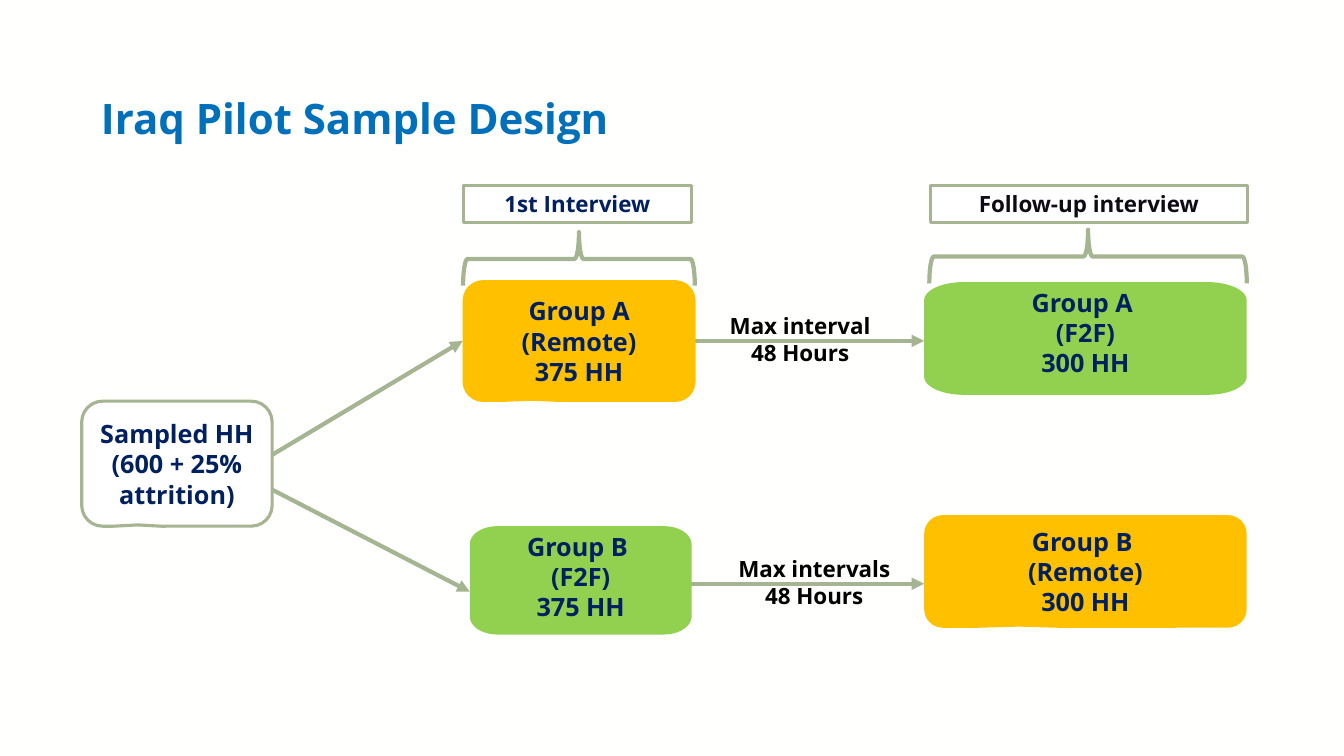
from dataclasses import dataclass
from math import cos, pi, sin

from lxml.etree import SubElement
from pptx import Presentation
from pptx.dml.color import RGBColor
from pptx.enum.shapes import MSO_CONNECTOR, MSO_SHAPE as Shp
from pptx.enum.text import MSO_ANCHOR as Anchor, PP_ALIGN as Align
from pptx.oxml.ns import qn
from pptx.util import Cm, Pt


@dataclass(frozen=True)
class Theme:
    font: str = "Open Sans"
    page: str = "FFFFFE"
    white: str = "FFFFFF"
    black: str = "000000"
    ink: str = "0F0B15"
    navy: str = "002060"
    title: str = "0070BA"
    sage: str = "A5B592"
    amber: str = "FFC000"
    green: str = "92D050"
    title_size: int = 30
    group_size: int = 18
    label_size: int = 16
    border: float = 2.25
    stroke: float = 3


T = Theme()


@dataclass(frozen=True)
class Box:
    """Lengths in centimetres."""
    x: float
    y: float
    w: float
    h: float

    def emu(self) -> tuple:
        return Cm(self.x), Cm(self.y), Cm(self.w), Cm(self.h)


@dataclass(frozen=True)
class Group:
    box: Box
    text: str
    fill: str
    line: str = ""
    corner: float = 0  # corner width of a barrel; 0 draws a callout


@dataclass(frozen=True)
class Phase:
    header: Box
    brace: Box
    text: str
    color: str


@dataclass(frozen=True)
class Arrow:
    x1: float
    y1: float
    x2: float
    y2: float


@dataclass(frozen=True)
class Label:
    box: Box
    text: str


GROUPS = [
    Group(Box(2.06, 10.11, 4.8, 3.15), "Sampled HH\n(600 + 25% attrition)", T.white, T.sage),
    Group(Box(11.66, 7.06, 5.87, 3.07), "Group A (Remote)\n375 HH", T.amber),
    Group(Box(11.84, 13.26, 5.59, 2.73), "Group B \n(F2F)\n375 HH", T.green, corner=0.69),
    Group(Box(23.29, 7.11, 8.13, 2.84), "Group A \n(F2F)\n300 HH", T.green, corner=0.99),
    Group(Box(23.29, 12.98, 8.13, 2.84), "Group B \n(Remote)\n300 HH", T.amber),
]
PHASES = [
    Phase(Box(11.68, 4.67, 5.74, 0.94), Box(11.67, 5.85, 5.84, 1.35), "1st Interview", T.navy),
    Phase(Box(23.44, 4.67, 8, 0.94), Box(23.42, 5.79, 8, 1.35), "Follow-up interview", T.ink),
]
ARROWS = [
    Arrow(6.86, 11.46, 11.66, 8.59),
    Arrow(6.86, 12.34, 11.84, 14.91),
    Arrow(17.5, 8.59, 23.29, 8.59),
    Arrow(17.42, 14.71, 23.29, 14.71),
]
LABELS = [
    Label(Box(18.03, 7.75, 4.27, 1.63), "Max interval 48 Hours"),
    Label(Box(18.03, 13.87, 4.98, 1.63), "Max intervals 48 Hours"),
]


def write(sp, text: str, size: int, color: str, align=Align.CENTER, anchor=Anchor.TOP) -> None:
    tf = sp.text_frame
    tf.text = text
    tf.word_wrap = True
    tf.vertical_anchor = anchor
    for p in tf.paragraphs:
        p.alignment = align
        for r in p.runs:
            r.font.name, r.font.size, r.font.bold = T.font, Pt(size), True
            r.font.color.rgb = RGBColor.from_string(color)


def paint(sp, fill: str = "", line: str = "", width: float = T.border) -> None:
    sp.shadow.inherit = False
    if fill:
        sp.fill.solid()
        sp.fill.fore_color.rgb = RGBColor.from_string(fill)
    else:
        sp.fill.background()
    if line:
        sp.line.color.rgb = RGBColor.from_string(line)
        sp.line.width = Pt(width)
    else:
        sp.line.fill.background()


def add_barrel(s, box: Box, rx: float, ry: float = 0.46, steps: int = 12):
    """Box with elliptic corners, traced clockwise from the left edge."""
    right, bottom = box.x + box.w, box.y + box.h
    centres = [(box.x + rx, box.y + ry), (right - rx, box.y + ry),
               (right - rx, bottom - ry), (box.x + rx, bottom - ry)]
    points = []
    for quarter, (cx, cy) in enumerate(centres):
        for i in range(steps + 1):
            angle = pi + (quarter + i / steps) * pi / 2
            points.append((Cm(cx + rx * cos(angle)), Cm(cy + ry * sin(angle))))
    builder = s.shapes.build_freeform(*points[0])
    builder.add_line_segments(points[1:], close=True)
    return builder.convert_to_shape()


def add_group(s, group: Group) -> None:
    if group.corner:
        sp, anchor = add_barrel(s, group.box, group.corner), Anchor.TOP
    else:
        sp = s.shapes.add_shape(Shp.ROUNDED_RECTANGULAR_CALLOUT, *group.box.emu())
        for i, value in enumerate((-0.206, 0.49, 0.167)):
            sp.adjustments[i] = value
        anchor = Anchor.MIDDLE
    paint(sp, group.fill, group.line)
    write(sp, group.text, T.group_size, T.navy, anchor=anchor)


def add_phase(s, phase: Phase) -> None:
    sp = s.shapes.add_shape(Shp.RECTANGLE, *phase.header.emu())
    paint(sp, T.white, T.sage)
    write(sp, phase.text, T.label_size, phase.color)
    # A left brace turned a quarter points up, so its sides are swapped
    b = phase.brace
    turned = Box(b.x + (b.w - b.h) / 2, b.y + (b.h - b.w) / 2, b.h, b.w)
    brace = s.shapes.add_shape(Shp.LEFT_BRACE, *turned.emu())
    brace.rotation = 90
    paint(brace, line=T.sage, width=T.stroke)


def add_arrow(s, arrow: Arrow) -> None:
    ends = (Cm(v) for v in (arrow.x1, arrow.y1, arrow.x2, arrow.y2))
    line = s.shapes.add_connector(MSO_CONNECTOR.STRAIGHT, *ends)
    line.line.color.rgb = RGBColor.from_string(T.sage)
    line.line.width = Pt(T.stroke)
    SubElement(line.line._get_or_add_ln(), qn("a:tailEnd"), type="triangle")
    SubElement(line._element.spPr, qn("a:effectLst"))


def main() -> None:
    prs = Presentation()
    prs.slide_width, prs.slide_height = Cm(33.87), Cm(19.05)
    s = prs.slides.add_slide(prs.slide_layouts[5])
    s.background.fill.solid()
    s.background.fill.fore_color.rgb = RGBColor.from_string(T.page)

    # Title
    title = s.shapes.title
    title.left, title.top, title.width, title.height = Box(2.29, 1.45, 29.29, 3.2).emu()
    write(title, "Iraq Pilot Sample Design", T.title_size, T.title, Align.LEFT, Anchor.MIDDLE)
    title.text_frame.paragraphs[0].line_spacing = 0.9

    # Flow from the sample through both interviews
    for arrow in ARROWS:
        add_arrow(s, arrow)
    for group in GROUPS:
        add_group(s, group)

    # Interview headers with braces
    for phase in PHASES:
        add_phase(s, phase)

    # Interval labels
    for label in LABELS:
        write(s.shapes.add_textbox(*label.box.emu()), label.text, T.label_size, T.black)

    prs.save("out.pptx")


if __name__ == "__main__":
    main()
